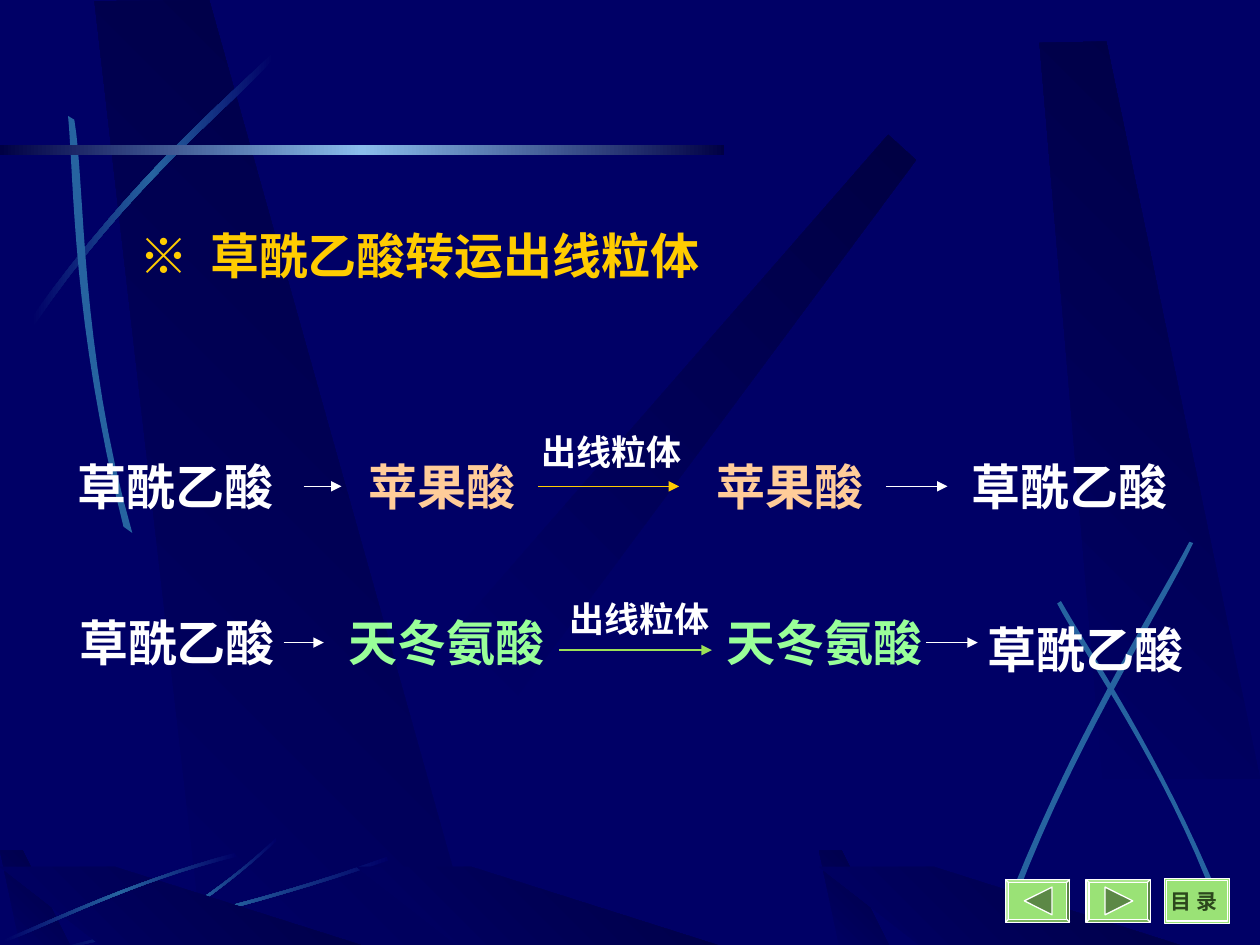
from dataclasses import dataclass
from typing import Optional

from lxml import etree
from pptx import Presentation
from pptx.dml.color import RGBColor
from pptx.enum.shapes import MSO_CONNECTOR, MSO_SHAPE
from pptx.oxml.ns import qn
from pptx.util import Inches, Pt

RECT, BEVEL = MSO_SHAPE.RECTANGLE, MSO_SHAPE.BEVEL
STRAIGHT = MSO_CONNECTOR.STRAIGHT


@dataclass(frozen=True)
class Theme:
    back: str = "000066"
    shade: str = "000044"
    streak: str = "2663A0"
    glow: str = "8ABDEC"
    button: str = "9AE276"
    button_mark: str = "5C8846"
    button_text: str = "2C471D"
    white: str = "FFFFFF"
    gold: str = "FFCC00"
    peach: str = "FFCC99"
    mint: str = "99FF99"
    lime: str = "9CE157"
    font: str = "Noto Sans CJK SC"
    menu_font: str = "Times New Roman"
    big: int = 28
    label: int = 20
    small: int = 12
    line: float = 0.75


T = Theme()
Point = tuple[float, float]


@dataclass(frozen=True)
class Streak:
    out: tuple[Point, Point, Point, Point]
    back: tuple[Point, Point, Point, Point]
    fades: bool = True


@dataclass(frozen=True)
class Label:
    text: str
    x: float
    y: float
    w: float
    color: str = T.white
    size: int = T.big
    font: str = T.font
    tab: Optional[float] = None


@dataclass(frozen=True)
class Arrow:
    x1: float
    x2: float
    y: float
    color: str = T.white


def rgb(color: str) -> RGBColor:
    return RGBColor.from_string(color)


def paint(sp, colors: list[str], angle: float = 0, line: Optional[str] = None) -> None:
    """Fill with one colour, or with an even gradient through several."""
    sp.shadow.inherit = False
    if len(colors) == 1:
        sp.fill.solid()
        sp.fill.fore_color.rgb = rgb(colors[0])
    else:
        sp.fill.gradient()
        sp.fill.gradient_angle = angle
        stops = sp._element.spPr.find(qn("a:gradFill")).find(qn("a:gsLst"))
        for stop in list(stops):
            stops.remove(stop)
        for i, color in enumerate(colors):
            stop = etree.SubElement(stops, qn("a:gs"), pos=str(100000 * i // (len(colors) - 1)))
            etree.SubElement(stop, qn("a:srgbClr"), val=color)
    if line:
        sp.line.color.rgb = rgb(line)
        sp.line.width = Pt(T.line)
    else:
        sp.line.fill.background()


def add_outline(s, points: list[Point]):
    pts = [(Inches(x), Inches(y)) for x, y in points]
    fb = s.shapes.build_freeform(*pts[0])
    fb.add_line_segments(pts[1:], close=True)
    return fb.convert_to_shape()


def curve(ctrl: tuple[Point, Point, Point, Point], steps: int = 16) -> list[Point]:
    """Points along a cubic Bezier curve."""
    a, b, c, d = ctrl
    return [tuple((1 - t) ** 3 * a[k] + 3 * (1 - t) ** 2 * t * b[k]
                  + 3 * (1 - t) * t ** 2 * c[k] + t ** 3 * d[k] for k in (0, 1))
            for t in (i / steps for i in range(steps + 1))]


def add_beam(s, points: list[Point]) -> None:
    paint(add_outline(s, points), [T.back, T.shade], 45)


def add_streak(s, streak: Streak) -> None:
    sp = add_outline(s, curve(streak.out) + curve(streak.back))
    paint(sp, [T.back, T.streak, T.back] if streak.fades else [T.streak])


def add_box(s, kind, x: float, y: float, w: float, h: float):
    return s.shapes.add_shape(kind, Inches(x), Inches(y), Inches(w), Inches(h))


def add_button(s, x: float, direction: int) -> None:
    """Bevelled button with a triangle pointing left (-1) or right (1)."""
    sp = add_box(s, BEVEL, x, 6.98, 0.51, 0.34)
    sp.adjustments[0] = 0.07
    paint(sp, [T.button], line=T.white)
    mid, tip = x + 0.26, 0.11 * direction
    mark = add_outline(s, [(mid + tip, 7.15), (mid - tip, 7.04), (mid - tip, 7.26)])
    paint(mark, [T.button_mark], line=T.white)


def add_label(s, label: Label) -> None:
    height = label.size / 60 + 0.1
    tb = s.shapes.add_textbox(Inches(label.x), Inches(label.y), Inches(label.w), Inches(height))
    tf = tb.text_frame
    tf.word_wrap = True
    p = tf.paragraphs[0]
    if label.tab:
        tabs = etree.SubElement(p._p.get_or_add_pPr(), qn("a:tabLst"))
        etree.SubElement(tabs, qn("a:tab"), pos=str(Inches(label.tab)), algn="l")
    r = p.add_run()
    r.text = label.text
    r.font.size, r.font.bold, r.font.name = Pt(label.size), True, label.font
    r.font.color.rgb = rgb(label.color)
    etree.SubElement(r._r.get_or_add_rPr(), qn("a:ea"), typeface=T.font)


def add_arrow(s, arrow: Arrow) -> None:
    y = Inches(arrow.y)
    c = s.shapes.add_connector(STRAIGHT, Inches(arrow.x1), y, Inches(arrow.x2), y)
    c.line.color.rgb = rgb(arrow.color)
    c.line.width = Pt(T.line)
    etree.SubElement(c.line._get_or_add_ln(), qn("a:tailEnd"), type="triangle")
    etree.SubElement(c._element.spPr, qn("a:effectLst"))


# Background decoration
BEAMS = [
    [(3.61, 5.01), (4.11, 5.52), (7.27, 1.27), (7.05, 1.07)],
    [(1.61, 7.5), (3.77, 7.52), (1.66, 0), (0.75, 0.01)],
    [(8.75, 6.18), (10, 6.18), (8.78, 0.33), (8.25, 0.34)],
]
FLOOR_BEAMS = [[(x + 0.86, 7.55), (x + 3.02, 7.55), (x + 0.91, 6.88), (x, 6.88)]
               for x in (2.83, 0, 6.5)]
CORNERS = [[(x + 0.17, 7.55), (x + 0.58, 7.55), (x + 0.18, 6.75), (x, 6.75)] for x in (0, 6.5)]
STREAKS = [
    Streak(((0.25, 2.52), (1.08, 1.36), (1.84, 0.75), (2.16, 0.42)),
           ((2.17, 0.47), (1.85, 0.83), (0.99, 1.5), (0.26, 2.6))),
    Streak(((0.98, 4.18), (0.57, 2.56), (0.59, 1.45), (0.54, 0.92)),
           ((0.59, 0.95), (0.68, 1.5), (0.63, 2.76), (1.05, 4.23)), fades=False),
    Streak(((7.93, 7.34), (8.48, 5.88), (9.18, 4.8), (9.44, 4.3)),
           ((9.47, 4.31), (9.23, 4.83), (8.43, 6.05), (7.98, 7.37)), fades=False),
    Streak(((9.68, 7.13), (9.21, 5.99), (8.64, 5.16), (8.42, 4.77)),
           ((8.39, 4.79), (8.6, 5.19), (9.26, 6.12), (9.64, 7.16)), fades=False),
]
FLOOR_STREAKS = [
    Streak(((2.19, 6.68), (1.67, 7.16), (1.2, 7.42), (1, 7.55)),
           ((1, 7.53), (1.2, 7.38), (1.73, 7.1), (2.19, 6.65))),
    Streak(((3.08, 6.83), (1.93, 7.23), (0.88, 7.44), (0.43, 7.55)),
           ((0.42, 7.54), (0.86, 7.41), (2.06, 7.18), (3.07, 6.8))),
]
FRONT_STREAK = Streak(((1.86, 6.77), (0.99, 7.01), (0.33, 7.34), (0.02, 7.46)),
                      ((0.03, 7.48), (0.34, 7.37), (1.09, 6.98), (1.88, 6.8)))

# Title, malate row, aspartate row
LABELS = [
    Label("※\t草酰乙酸转运出线粒体", 1.01, 1.74, 5.1, T.gold, tab=0.56),
    Label("草酰乙酸", 0.52, 3.57, 1.93),
    Label("苹果酸", 2.83, 3.57, 1.63, T.peach),
    Label("出线粒体", 4.2, 3.37, 1.44, size=T.label),
    Label("苹果酸", 5.59, 3.57, 1.63, T.peach),
    Label("草酰乙酸", 7.61, 3.57, 2.02),
    Label("草酰乙酸", 0.53, 4.81, 2.02),
    Label("天冬氨酸", 2.67, 4.81, 2.02, T.mint),
    Label("出线粒体", 4.42, 4.69, 1.44, size=T.label),
    Label("天冬氨酸", 5.67, 4.81, 2.02, T.mint),
    Label("草酰乙酸", 7.74, 4.87, 2.02),
]
ARROWS = [
    Arrow(2.41, 2.71, 3.86), Arrow(4.27, 5.39, 3.86, T.gold), Arrow(7.03, 7.52, 3.86),
    Arrow(2.25, 2.57, 5.1), Arrow(4.44, 5.65, 5.16, T.lime), Arrow(7.35, 7.76, 5.1),
]


def main() -> None:
    prs = Presentation()
    prs.slide_width, prs.slide_height = Inches(10), Inches(7.5)
    s = prs.slides.add_slide(prs.slide_layouts[6])
    s.background.fill.solid()
    s.background.fill.fore_color.rgb = rgb(T.back)

    # Decoration, back to front
    for beam in BEAMS:
        add_beam(s, beam)
    for streak in STREAKS:
        add_streak(s, streak)
    for beam in CORNERS:
        add_beam(s, beam)
    for streak in FLOOR_STREAKS:
        add_streak(s, streak)
    paint(add_box(s, RECT, 0, 1.15, 5.75, 0.08), [T.shade, T.glow, T.shade])
    for beam in FLOOR_BEAMS:
        add_beam(s, beam)
    add_streak(s, FRONT_STREAK)

    # Navigation buttons
    add_button(s, 8.62, 1)
    add_button(s, 7.98, -1)
    for inset in (0, 0.02):
        sp = add_box(s, RECT, 9.24 + inset, 6.97 + inset, 0.52 - 2 * inset, 0.36 - 2 * inset)
        paint(sp, [T.button], line=T.white)
    add_label(s, Label("目 录", 9.19, 7, 0.65, T.button_text, T.small, T.menu_font))

    # Reaction rows
    for label in LABELS:
        add_label(s, label)
    for arrow in ARROWS:
        add_arrow(s, arrow)

    prs.save("out.pptx")


if __name__ == "__main__":
    main()
